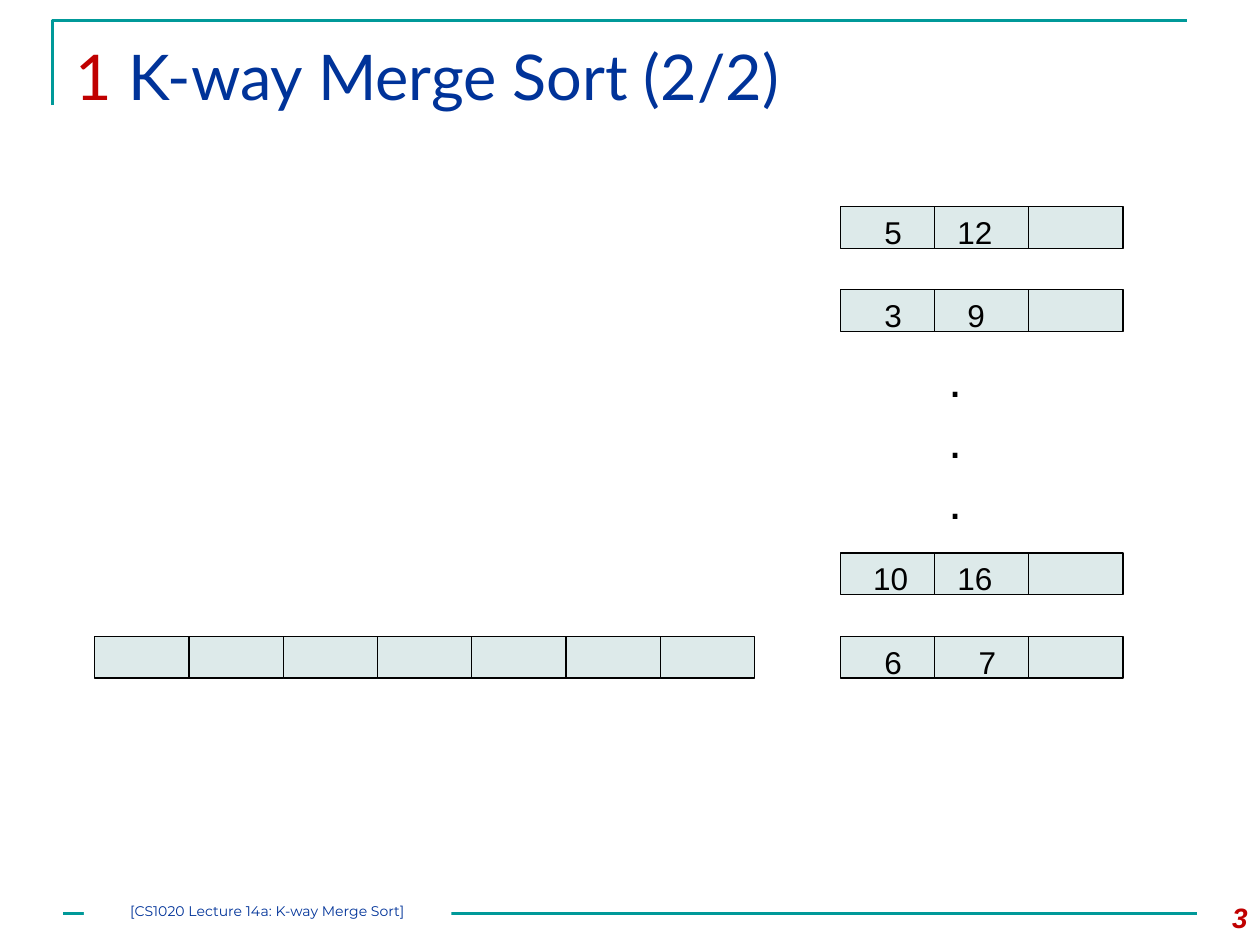
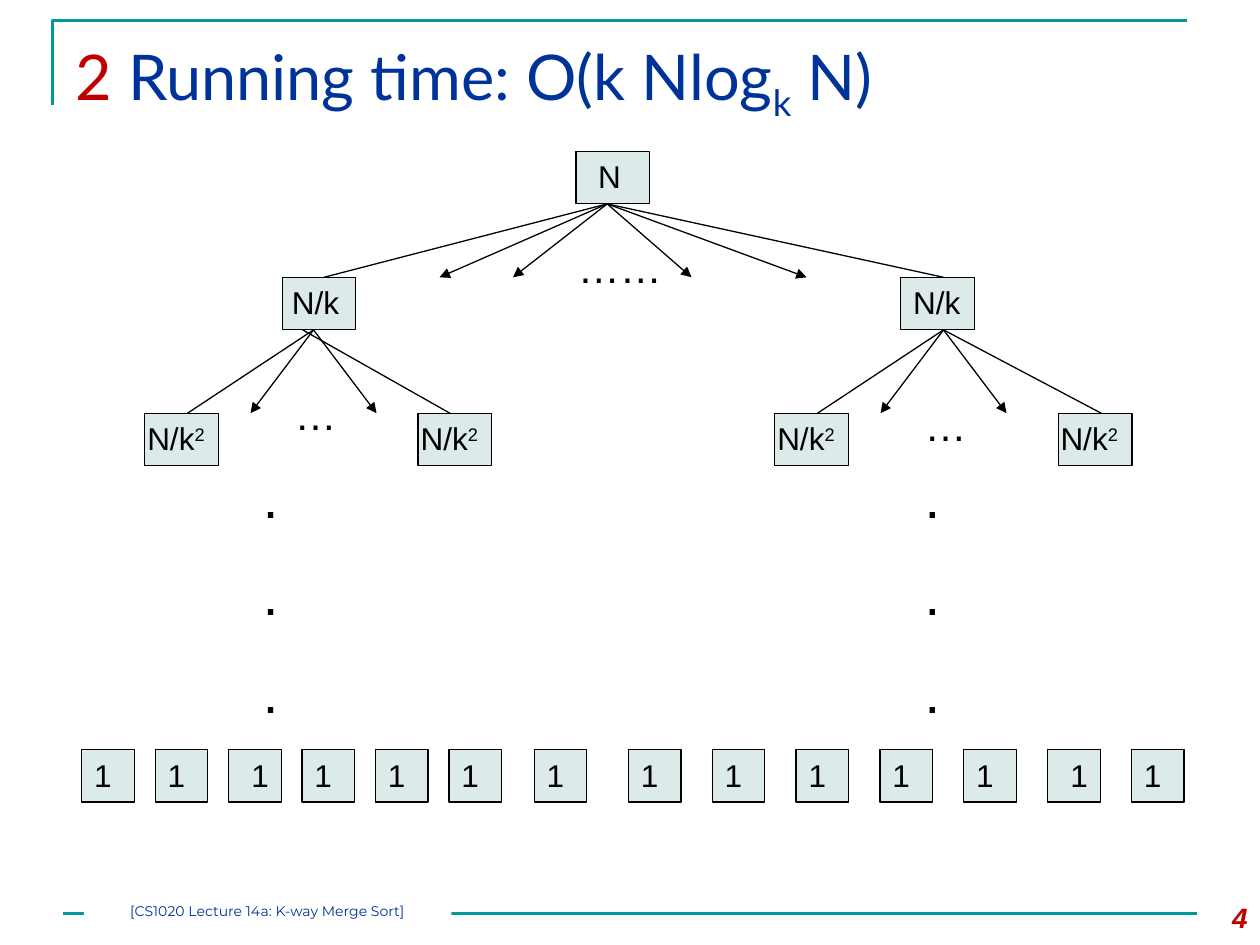
"""Two lecture slides on k-way merge sort: the merge buffers and the recursion tree."""
from lxml.etree import SubElement
from pptx import Presentation
from pptx.dml.color import RGBColor
from pptx.enum.shapes import MSO_CONNECTOR, MSO_SHAPE
from pptx.enum.text import MSO_ANCHOR, PP_ALIGN
from pptx.oxml.ns import qn
from pptx.util import Cm, Pt

THEME = {
    "teal": RGBColor(0x00, 0x99, 0x99),
    "navy": RGBColor(0x00, 0x33, 0x99),
    "red": RGBColor(0xC0, 0x00, 0x00),
    "black": RGBColor(0x00, 0x00, 0x00),
    "white": RGBColor(0xFF, 0xFF, 0xFF),
    "cell": RGBColor(0xDD, 0xEA, 0xEA),
    "title": {"font": {"name": "Lato", "size": Pt(36)}, "color": "navy"},
    "number": {"font": {"name": "Arial", "size": Pt(16), "bold": True, "italic": True},
               "color": "red", "para": {"alignment": PP_ALIGN.RIGHT}},
    "footer": {"font": {"name": "Montserrat", "size": Pt(8)}, "color": "navy",
               "para": {"alignment": PP_ALIGN.CENTER},
               "frame": dict.fromkeys(("margin_left", "margin_top", "margin_right", "margin_bottom"), 0)},
    "label": {"font": {"name": "Arial", "size": Pt(18)}, "color": "black"},
    "ellipsis": {"font": {"name": "Arial", "size": Pt(24)}, "color": "black"},
    "dots": {"font": {"name": "Arial", "size": Pt(28)}, "color": "black",
             "para": {"alignment": PP_ALIGN.CENTER}, "gap": Pt(1.2)},
    "big_dots": {"font": {"name": "Arial", "size": Pt(32)}, "color": "black", "gap": Pt(17.5)},
}


def box(s, x, y, w, h, paras=(), style="label", fill=None, line=None):
    at = Cm(x), Cm(y), Cm(w), Cm(h)
    if fill:
        sp = s.shapes.add_shape(MSO_SHAPE.RECTANGLE, *at)
        sp.shadow.inherit = False
        sp.fill.solid()
        sp.fill.fore_color.rgb = THEME[fill]
        if line:
            sp.line.color.rgb = THEME[line]
            sp.line.width = Pt(0.75)
        else:
            sp.line.fill.background()
    else:
        sp = s.shapes.add_textbox(*at)
    fmt = THEME[style]
    tf = sp.text_frame
    frame = {"word_wrap": True, "vertical_anchor": MSO_ANCHOR.TOP, **fmt.get("frame", {})}
    for key, value in frame.items():
        setattr(tf, key, value)
    for i, runs in enumerate(paras):
        p = tf.add_paragraph() if i else tf.paragraphs[0]
        for key, value in fmt.get("para", {}).items():
            setattr(p, key, value)
        if i:
            p.space_before = fmt.get("gap")
        for text, color, baseline in runs:
            r = p.add_run()
            r.text = text
            for key, value in fmt["font"].items():
                setattr(r.font, key, value)
            r.font.color.rgb = THEME[color or fmt["color"]]
            if baseline:
                r.font._element.set("baseline", str(baseline * 1000))


def line(s, x1, y1, x2, y2, color="black", width=0.75, arrow=False):
    cx = s.shapes.add_connector(MSO_CONNECTOR.STRAIGHT, Cm(x1), Cm(y1), Cm(x2), Cm(y2))
    cx.line.color.rgb = THEME[color]
    cx.line.width = Pt(width)
    if arrow:
        SubElement(cx.line._get_or_add_ln(), qn("a:tailEnd"), type="triangle")
    SubElement(cx._element.spPr, qn("a:effectLst"))


prs = Presentation()
prs.slide_width, prs.slide_height = Cm(25.4), Cm(19.05)

titles = [
    [("1 ", "red", 0), ("K-way Merge Sort (2/2)", None, 0)],
    [("2 ", "red", 0), ("Running time: O(k Nlog", None, 0), ("k", None, -25), (" N)", None, 0)],
]
for number, title in enumerate(titles, 3):
    s = prs.slides.add_slide(prs.slide_layouts[6])
    fb = s.shapes.build_freeform(Cm(1.06), Cm(2.12))
    fb.add_line_segments([(Cm(1.06), Cm(0.42)), (Cm(23.92), Cm(0.42))], close=False)
    corner = fb.convert_to_shape()
    corner.shadow.inherit = False
    corner.fill.background()
    corner.line.color.rgb = THEME["teal"]
    corner.line.width = Pt(1.5)
    line(s, 1.27, 18.42, 24.13, 18.42, "teal", 1.5)
    box(s, 1.27, 0.64, 22.86, 2.18, [title], "title")
    box(s, 23.7, 18.03, 1.7, 1.02, [[(str(number), None, 0)]], "number")
    box(s, 1.69, 18.2, 7.41, 0.43, [[("[CS1020 Lecture 14a: K-way Merge Sort]", None, 0)]],
        "footer", "white")

merge, tree = prs.slides

cell_w, cell_h, buffer_x, last_y = 1.9, 0.84, 16.94, 12.83
for i in range(7):
    box(merge, 1.91 + i * cell_w, last_y, cell_w, cell_h, fill="cell", line="black")
buffers = [
    (4.17, [("5", 17.58), ("12", 19.05)]),
    (5.84, [("3", 17.58), ("9", 19.25)]),
    (11.15, [("10", 17.35), ("16", 19.05)]),
    (last_y, [("6", 17.58), ("7", 19.48)]),
]
for y, values in buffers:
    for i in range(3):
        box(merge, buffer_x + i * cell_w, y, cell_w, cell_h, fill="cell", line="black")
    for value, x in values:
        box(merge, x, y, cell_w, 1.02, [[(value, None, 0)]])
box(merge, 18.62, 6.91, 1.27, 3.84, [[(".", None, 0)]] * 3, "dots")

fans = [
    (12.24, 4.11, 5.59, [6.53, 19.02], [8.86, 10.34, 13.94, 16.26]),
    (6.32, 6.65, 8.33, [3.78], [5.05, 7.59]),
    (6.1, 6.65, 8.33, [9.07], []),
    (19.02, 6.65, 8.33, [16.48, 22.2], [17.75, 20.29]),
]
for x, top, bottom, children, skipped in fans:
    for end in children + skipped:
        line(tree, x, top, end, bottom, arrow=end in skipped)

root, half = [("N", None, 0)], [("N/k", None, 0)]
square = half + [("2", None, 30)]
nodes = [
    (11.61, 3.05, 11.81, 1.07, root),
    (5.69, 5.59, 5.46, 2.11, [(" N/k", None, 0)]),
    (18.16, 5.59, 18.16, 1.7, half),
    (2.92, 8.33, 2.72, 2.97, square),
    (8.43, 8.33, 8.23, 2.97, square),
    (15.62, 8.33, 15.42, 3.18, square),
    (21.34, 8.33, 21.13, 3.18, square),
]
for x, y, label_x, label_w, runs in nodes:
    box(tree, x, y, 1.48, 1.06, fill="cell", line="black")
    box(tree, label_x, y, label_w, 1.02, [runs])

for x, y, w, text in [(11.4, 4.75, 2.97, "……"), (5.69, 7.7, 2.11, "…"), (18.39, 7.92, 1.27, "…")]:
    box(tree, x, y, w, 1.27, [[(text, None, 0)]], "ellipsis")
for x in (5.05, 18.39):
    box(tree, x, 9.19, 2.54, 5.66, [[(".", None, 0)]] * 3, "big_dots")

leaf_xs = [1.65 + 1.48 * i for i in range(6)] + [10.77] + [12.67 + 1.69 * i for i in range(7)]
for i, x in enumerate(leaf_xs):
    box(tree, x, 15.11, 1.06, 1.06, fill="cell", line="black")
    shift = 0.21 if i in (2, 12) else 0
    box(tree, x + shift, 15.11, 1.48, 1.02, [[("1", None, 0)]])

prs.save("out.pptx")
